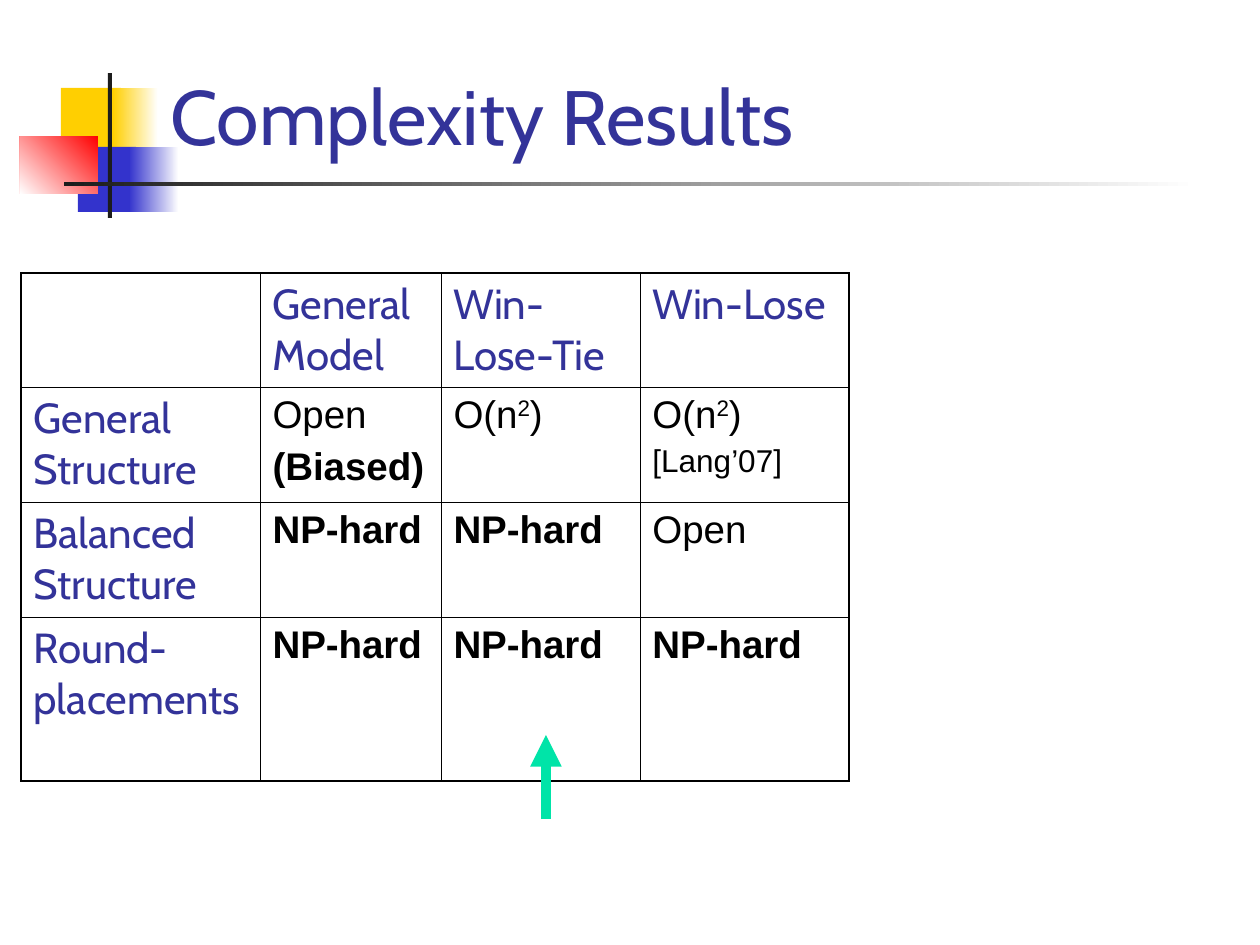
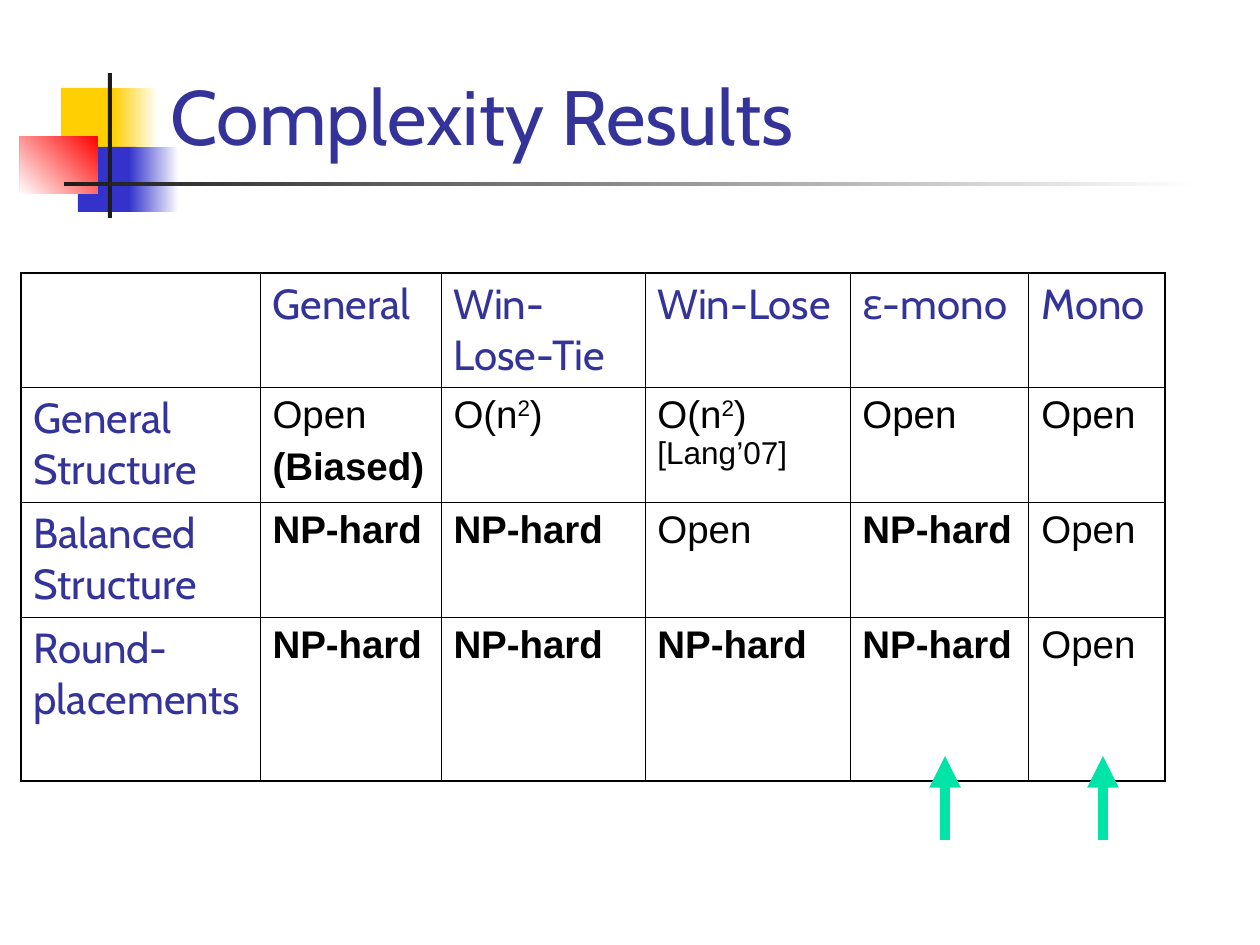
from lxml.etree import SubElement
from pptx import Presentation
from pptx.dml.color import RGBColor
from pptx.enum.shapes import MSO_CONNECTOR, MSO_SHAPE
from pptx.enum.text import MSO_ANCHOR
from pptx.oxml import parse_xml
from pptx.oxml.ns import nsdecls, qn
from pptx.util import Emu, Pt

YELLOW = RGBColor(0xFF, 0xCF, 0x01)
BLUE = RGBColor(0x33, 0x33, 0xCC)
RED = RGBColor(0xFF, 0x00, 0x00)
WHITE = RGBColor(0xFF, 0xFF, 0xFF)
CHARCOAL = RGBColor(0x1C, 0x1C, 0x1C)
NAVY = RGBColor(0x33, 0x33, 0x99)
BLACK = RGBColor(0x00, 0x00, 0x00)
GREEN = RGBColor(0x00, 0xE4, 0xA8)

FORMATS = {
    "title": ({"name": "Cabin", "size": Pt(44)}, NAVY),
    "label": ({"name": "Cabin", "size": Pt(24)}, NAVY),
    "plain": ({"name": "Arial", "size": Pt(22)}, BLACK),
    "super": ({"name": "Arial", "size": Pt(22)}, BLACK),
    "bold": ({"name": "Arial", "size": Pt(22), "bold": True}, BLACK),
    "cite": ({"name": "Arial", "size": Pt(18)}, BLACK),
}


def px(length):
    return Emu(round(length * 914400 / 126))


def add_runs(paragraph, runs):
    for text, kind in runs:
        run = paragraph.add_run()
        run.text = text
        values, color = FORMATS[kind]
        for name, value in values.items():
            setattr(run.font, name, value)
        run.font.color.rgb = color
        if kind == "super":
            run._r.get_or_add_rPr().set("baseline", "30000")


DECORATION = [
    (61, 88, 60, 65, [YELLOW], 0),
    (113, 88, 45, 65, [WHITE, YELLOW], 180),
    (78, 147, 58, 65, [BLUE], 0),
    (129, 147, 50, 65, [WHITE, BLUE], 180),
    (20, 136, 78, 58, [RED, WHITE], 225),
    (108, 73, 4, 145, [CHARCOAL], 0),
    (64, 182, 1134, 4, [WHITE, CHARCOAL], 180),
]

OPEN = [[("Open", "plain")]]
HARD = [[("NP-hard", "bold")]]
BIASED = OPEN + [[("(Biased)", "bold")]]
SQUARE = [("O(n", "plain"), ("2", "super"), (")", "plain")]
CITATION = ("[Lang’07]", "cite")

LABELS = (239, "", [[[(text, "label")]] for text in
                    ("General Structure", "Balanced Structure", "Round-placements")])
GENERAL = [BIASED, HARD, HARD]
TIE = [[SQUARE], HARD, HARD]
ROW_HEIGHTS = [114, 115, 115, 164]
SLIDES = [
    {
        "columns": [
            LABELS,
            (181, "General Model", GENERAL),
            (199, "Win-Lose-Tie", TIE),
            (209, "Win-Lose", [[SQUARE, [CITATION]], OPEN, HARD]),
        ],
        "arrows": [(546, 735)],
    },
    {
        "columns": [
            LABELS,
            (181, "General", GENERAL),
            (204, "Win-Lose-Tie", TIE),
            (205, "Win-Lose", [[SQUARE + [(" ", "plain"), CITATION]], OPEN, HARD]),
            (179, "ε-mono", [OPEN, HARD, HARD]),
            (136, "Mono", [OPEN, OPEN, OPEN]),
        ],
        "arrows": [(945, 756), (1103, 756)],
    },
]

presentation = Presentation()
presentation.slide_width = px(1260)
presentation.slide_height = px(945)

for content in SLIDES:
    slide = presentation.slides.add_slide(presentation.slide_layouts[6])

    for left, top, width, height, colors, angle in DECORATION:
        shape = slide.shapes.add_shape(
            MSO_SHAPE.RECTANGLE, px(left), px(top), px(width), px(height))
        shape.shadow.inherit = False
        shape.line.fill.background()
        if len(colors) == 1:
            shape.fill.solid()
            shape.fill.fore_color.rgb = colors[0]
        else:
            shape.fill.gradient()
            shape.fill.gradient_angle = angle
            for stop, color, position in zip(shape.fill.gradient_stops, colors, (0, 1)):
                stop.color.rgb = color
                stop.position = position

    title = slide.shapes.add_textbox(px(158), px(42), px(1074), px(125)).text_frame
    title.word_wrap = True
    title.vertical_anchor = MSO_ANCHOR.BOTTOM
    add_runs(title.paragraphs[0], [("Complexity Results", "title")])

    columns = content["columns"]
    last_row, last_column = len(ROW_HEIGHTS) - 1, len(columns) - 1
    table = slide.shapes.add_table(
        len(ROW_HEIGHTS), len(columns), px(21), px(273),
        px(sum(column[0] for column in columns)), px(sum(ROW_HEIGHTS))).table
    table.first_row = table.horz_banding = False
    for row, height in zip(table.rows, ROW_HEIGHTS):
        row.height = px(height)

    for column_index, (width, header, entries) in enumerate(columns):
        table.columns[column_index].width = px(width)
        header_cell = [[(header, "label")]] if header else []
        for row_index, paragraphs in enumerate([header_cell] + entries):
            cell = table.cell(row_index, column_index)
            cell.fill.background()
            outer_sides = {
                "L": column_index == 0,
                "R": column_index == last_column,
                "T": row_index == 0,
                "B": row_index == last_row,
            }
            for position, (side, outer) in enumerate(outer_sides.items()):
                border = parse_xml(
                    f'<a:ln{side} {nsdecls("a")} w="{Pt(1.08 if outer else 0.45)}">'
                    f'<a:solidFill><a:srgbClr val="{BLACK}"/></a:solidFill></a:ln{side}>')
                cell._tc.get_or_add_tcPr().insert(position, border)
            frame = cell.text_frame
            for index, runs in enumerate(paragraphs):
                paragraph = frame.add_paragraph() if index else frame.paragraphs[0]
                if index:
                    paragraph.space_before = Pt(4.5 if CITATION in runs else 5.5)
                add_runs(paragraph, runs)

    for x, tip in content["arrows"]:
        arrow = slide.shapes.add_connector(
            MSO_CONNECTOR.STRAIGHT, px(x), px(tip + 84), px(x), px(tip))
        arrow.line.color.rgb = GREEN
        arrow.line.width = Pt(6)
        SubElement(arrow.line._get_or_add_ln(), qn("a:tailEnd"), type="triangle")
        SubElement(arrow._element.spPr, qn("a:effectLst"))

presentation.save("out.pptx")
